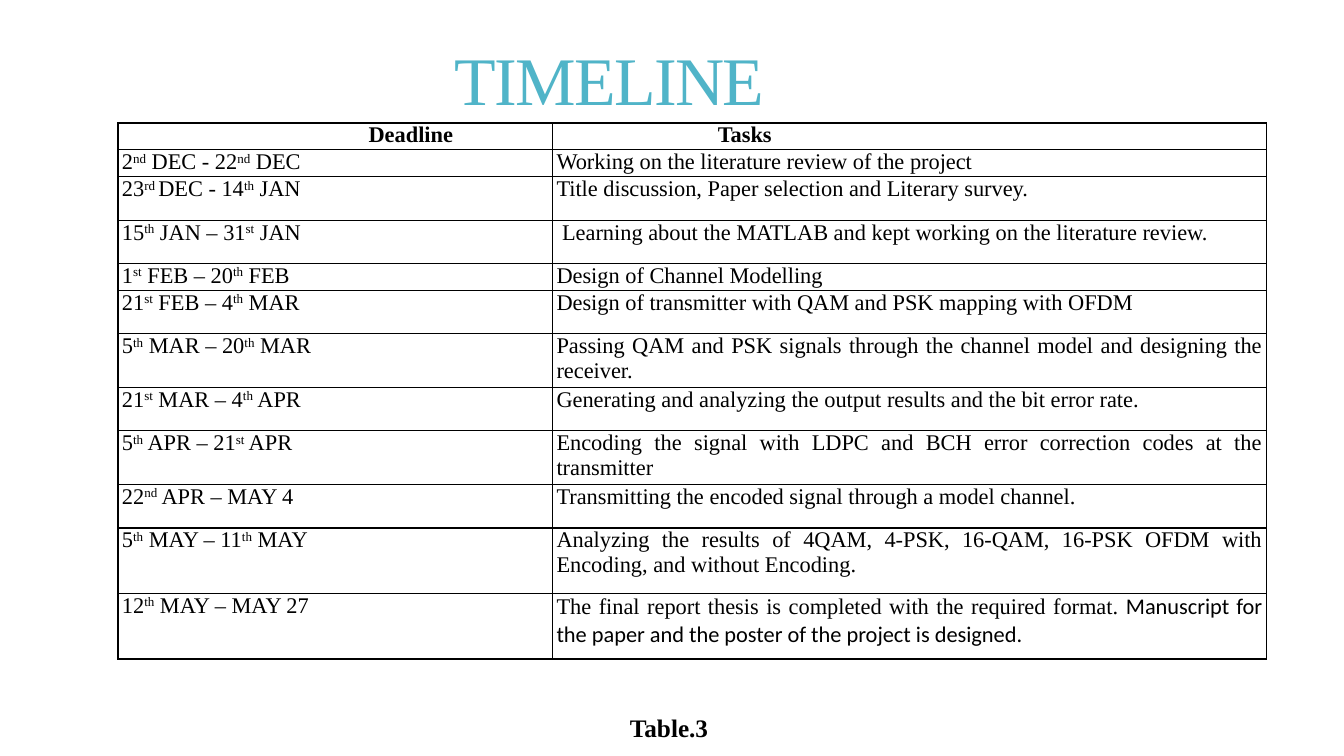
"""Build the project timeline slide with its table of deadlines and tasks."""
from lxml import etree
from pptx import Presentation
from pptx.dml.color import RGBColor
from pptx.enum import text
from pptx.oxml import ns
from pptx.util import Inches, Pt

TEAL = RGBColor(0x50, 0xB4, 0xC8)
BLACK = RGBColor(0, 0, 0)
SERIF, SANS = "Times New Roman", "Calibri"

SCHEDULE = [
    ("Deadline", "Tasks", 0.16),
    ("2^nd^ DEC - 22^nd^ DEC", "Working on the literature review of the project", 0.24),
    ("23^rd ^DEC - 14^th^ JAN", "Title discussion, Paper selection and Literary survey.", 0.43),
    ("15^th^ JAN – 31^st^ JAN",
     " Learning about the MATLAB and kept working on the literature review.", 0.43),
    ("1^st^ FEB – 20^th^ FEB", "Design of Channel Modelling", 0.23),
    ("21^st^ FEB – 4^th^ MAR", "Design of transmitter with QAM and PSK mapping with OFDM", 0.43),
    ("5^th^ MAR – 20^th^ MAR",
     "Passing QAM and PSK signals through the channel model and designing the receiver.", 0.43),
    ("21^st^ MAR – 4^th^ APR",
     "Generating and analyzing the output results and the bit error rate.", 0.43),
    ("5^th^ APR – 21^st^ APR",
     "Encoding the signal with LDPC and BCH error correction codes at the transmitter", 0.43),
    ("22^nd^ APR – MAY 4", "Transmitting the encoded signal through a model channel.", 0.43),
    ("5^th^ MAY – 11^th^ MAY",
     "Analyzing the results of 4QAM, 4-PSK, 16-QAM, 16-PSK OFDM with Encoding, "
     "and without Encoding.", 0.65),
    ("12^th^ MAY – MAY 27",
     "The final report thesis is completed with the required format.", 0.65),
]
CLOSING_TASK = " Manuscript for the paper and the poster of the project is designed."


def add_run(paragraph, wording, size, face=SERIF, color=BLACK, bold=False):
    run = paragraph.add_run()
    run.text = wording
    run.font.size, run.font.name, run.font.bold = Pt(size), face, bold
    run.font.color.rgb = color
    return run


def add_borders(cell):
    properties = cell._tc.get_or_add_tcPr()
    for position, side in enumerate(("lnL", "lnR", "lnT", "lnB")):
        line = etree.Element(ns.qn(f"a:{side}"), w=str(Pt(1)))
        fill = etree.SubElement(line, ns.qn("a:solidFill"))
        etree.SubElement(fill, ns.qn("a:srgbClr"), val=str(BLACK))
        properties.insert(position, line)


deck = Presentation()
deck.slide_width, deck.slide_height = Inches(13.33), Inches(7.5)
slide = deck.slides.add_slide(deck.slide_layouts[6])

heading = slide.shapes.add_textbox(
    Inches(0.72), Inches(0.48), Inches(11.78), Inches(0.73)).text_frame
heading.word_wrap = True
heading.vertical_anchor = text.MSO_ANCHOR.MIDDLE
heading.margin_left = Inches(3.79)
heading.paragraphs[0].line_spacing = 0.85
heading_run = add_run(heading.paragraphs[0], "TIMELINE", 48.6, color=TEAL)
heading_run.font._element.set("spc", "-120")

timeline_frame = slide.shapes.add_table(
    len(SCHEDULE), 2, Inches(1.17), Inches(1.22), Inches(11.38), Inches(5.38))
timeline = timeline_frame.table
timeline.columns[0].width = Inches(4.31)
timeline.columns[1].width = Inches(7.08)

for row, (deadline, task, height) in enumerate(SCHEDULE):
    timeline.rows[row].height = Inches(height)
    for column, wording in enumerate((deadline, task)):
        cell = timeline.cell(row, column)
        cell.margin_left = cell.margin_right = Inches(0.04)
        cell.margin_top = cell.margin_bottom = 0
        cell.fill.background()
        add_borders(cell)
        entry = cell.text_frame.paragraphs[0]
        entry.alignment = text.PP_ALIGN.JUSTIFY
        entry.line_spacing = 1.0
        for part, piece in enumerate(wording.split("^")):
            if piece:
                run = add_run(entry, piece, 16, bold=row == 0)
                if part % 2:
                    run.font._element.set("baseline", "30000")

timeline.cell(0, 0).text_frame.paragraphs[0].alignment = text.PP_ALIGN.CENTER
timeline.cell(0, 0).margin_left = Inches(1.54)
timeline.cell(0, 1).margin_left = Inches(1.64)
add_run(timeline.cell(len(SCHEDULE) - 1, 1).text_frame.paragraphs[0], CLOSING_TASK, 16, SANS)
timeline_frame.height = Inches(5.38)

caption = slide.shapes.add_textbox(
    Inches(4.94), Inches(7.02), Inches(3.39), Inches(0.4)).text_frame
caption.word_wrap = True
caption.auto_size = text.MSO_AUTO_SIZE.SHAPE_TO_FIT_TEXT
caption.paragraphs[0].alignment = text.PP_ALIGN.CENTER
add_run(caption.paragraphs[0], "Table.3", 18, bold=True)

deck.save("out.pptx")
